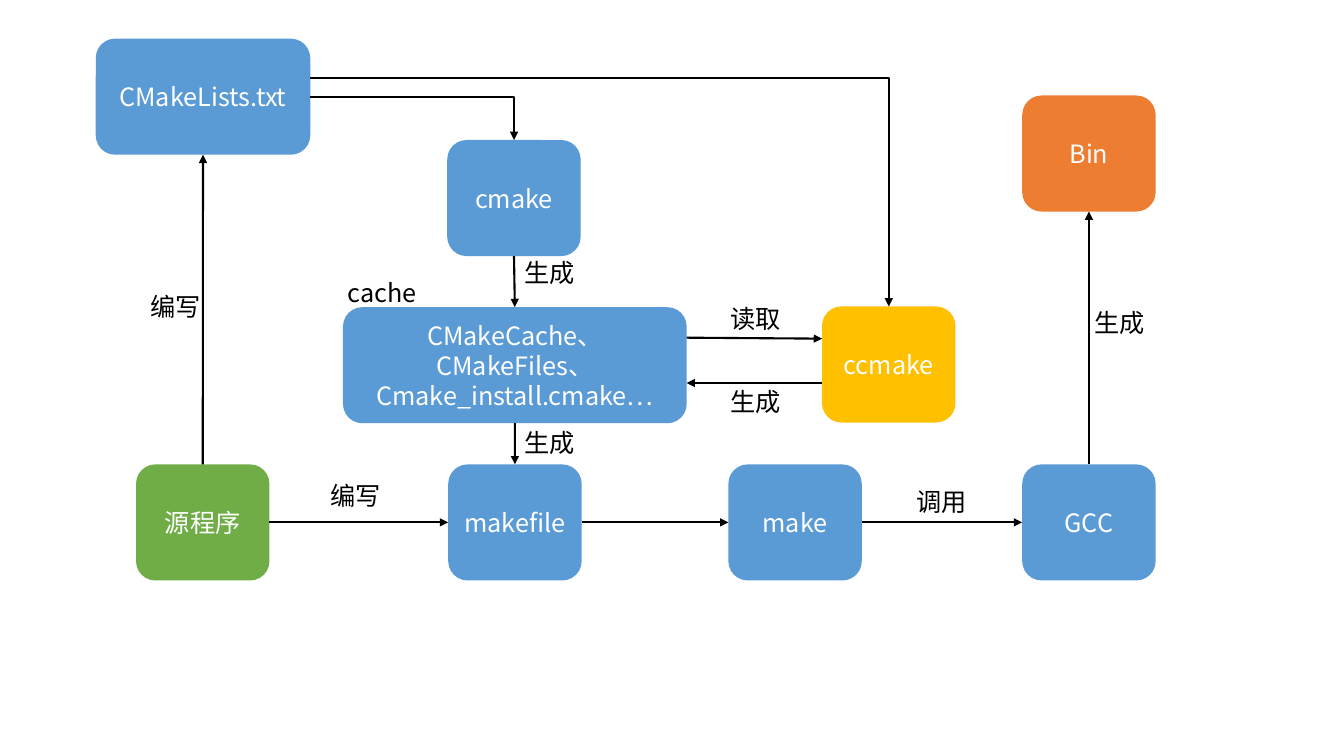
from pptx import Presentation
from pptx import util as u
from pptx.dml.color import RGBColor
from pptx.enum import shapes, text
from pptx.oxml.ns import qn
from lxml import etree

Pt = u.Pt
FONT = "Noto Sans CJK SC"
BLUE = RGBColor(0x5B, 0x9B, 0xD5)
GREEN = RGBColor(0x70, 0xAD, 0x47)
ORANGE = RGBColor(0xED, 0x7D, 0x31)
GOLD = RGBColor(0xFF, 0xC0, 0x00)
WHITE = RGBColor(0xFF, 0xFF, 0xFF)
BLACK = RGBColor(0x00, 0x00, 0x00)
TOP, LEFT, BOTTOM, RIGHT = range(4)
BOX_W, BOX_H = 95.3, 82.9


class Diagram:
    font = {"name": FONT, "size": Pt(18)}

    def __init__(self, s):
        self.s = s

    def add_lines(self, tf, lines, color, align):
        for i, line in enumerate(lines):
            p = tf.add_paragraph() if i else tf.paragraphs[0]
            p.alignment = align
            r = p.add_run()
            r.text = line
            for key, value in self.font.items():
                setattr(r.font, key, value)
            r.font.color.rgb = color
            etree.SubElement(r.font._element, qn("a:ea"), typeface=FONT)

    def box(self, lines, x, y, fill=BLUE, w=BOX_W):
        sp = self.s.shapes.add_shape(shapes.MSO_SHAPE.ROUNDED_RECTANGLE,
                                     Pt(x), Pt(y), Pt(w), Pt(BOX_H))
        sp.shadow.inherit = False
        sp.fill.solid()
        sp.fill.fore_color.rgb = fill
        sp.line.fill.background()
        tf = sp.text_frame
        tf.word_wrap = True
        tf.vertical_anchor = text.MSO_ANCHOR.MIDDLE
        self.add_lines(tf, lines, WHITE, text.PP_ALIGN.CENTER)
        return sp

    def label(self, line, x, y, w=51.1, wrap=False):
        sp = self.s.shapes.add_textbox(Pt(x), Pt(y), Pt(w), Pt(29.1))
        tf = sp.text_frame
        tf.word_wrap = wrap
        tf.auto_size = text.MSO_AUTO_SIZE.SHAPE_TO_FIT_TEXT
        self.add_lines(tf, [line], BLACK, text.PP_ALIGN.LEFT)

    def arrow(self, x1, y1, x2, y2, bent=False):
        kind = shapes.MSO_CONNECTOR.ELBOW if bent else shapes.MSO_CONNECTOR.STRAIGHT
        c = self.s.shapes.add_connector(kind, Pt(x1), Pt(y1), Pt(x2), Pt(y2))
        c.line.color.rgb = BLACK
        c.line.width = Pt(1.5)
        sp_pr = c._element.spPr
        if bent:
            sp_pr.find(qn("a:prstGeom")).set("prst", "bentConnector2")
        etree.SubElement(sp_pr.find(qn("a:ln")), qn("a:tailEnd"), type="triangle")
        etree.SubElement(sp_pr, qn("a:effectLst"))
        return c

    def link(self, start, start_site, end, end_site, bent=False):
        def site(sp, i):
            across, down = ((0.5, 0), (0, 0.5), (0.5, 1), (1, 0.5))[i]
            return (sp.left + sp.width * across) / Pt(1), (sp.top + sp.height * down) / Pt(1)

        c = self.arrow(*site(start, start_site), *site(end, end_site), bent)
        c.begin_connect(start, start_site)
        c.end_connect(end, end_site)


def main():
    prs = Presentation()
    prs.slide_width, prs.slide_height = Pt(960), Pt(540)
    d = Diagram(prs.slides.add_slide(prs.slide_layouts[6]))

    # Boxes
    row_y = 331.7
    source = d.box(["源程序"], 97.2, row_y, GREEN)
    lists = d.box(["CMakeLists.txt"], 68.4, 27.6, w=153.2)
    makefile = d.box(["makefile"], 320.2, row_y)
    cmake = d.box(["cmake"], 319.5, 100)
    make = d.box(["make"], 520.3, row_y)
    gcc = d.box(["GCC"], 730.2, row_y)
    binary = d.box(["Bin"], 730.2, 68.2, ORANGE)
    ccmake = d.box(["ccmake"], 587.2, 218.9, GOLD)
    cache = d.box(["CMakeCache、CMakeFiles、", "Cmake_install.cmake…"],
                  245, 219.4, w=245.5)

    # Arrows between box sides
    for ends in [(source, TOP, lists, BOTTOM),
                 (lists, RIGHT, cmake, TOP, True),
                 (cmake, BOTTOM, cache, TOP),
                 (cache, BOTTOM, makefile, TOP),
                 (source, RIGHT, makefile, LEFT),
                 (makefile, RIGHT, make, LEFT),
                 (make, RIGHT, gcc, LEFT),
                 (gcc, TOP, binary, BOTTOM)]:
        d.link(*ends)

    # Arrows off the side centres
    d.arrow(490.5, 241.2, 587.2, 241.9)
    d.arrow(587.2, 273.6, 490.5, 273.6)
    c = d.arrow(221.6, 56, 634.9, 218.9, bent=True)
    c.end_connect(ccmake, TOP)

    # Labels
    for line, x, y in [("编写", 100.1, 204.5), ("编写", 229, 339.8),
                       ("生成", 367.5, 301.5), ("生成", 367.5, 180.4),
                       ("读取", 514.8, 213.1), ("生成", 514.8, 272.6),
                       ("调用", 647.5, 344), ("生成", 774.9, 216)]:
        d.label(line, x, y)
    d.label("cache", 241.2, 194.4, w=75.6, wrap=True)

    prs.save("out.pptx")


if __name__ == "__main__":
    main()
